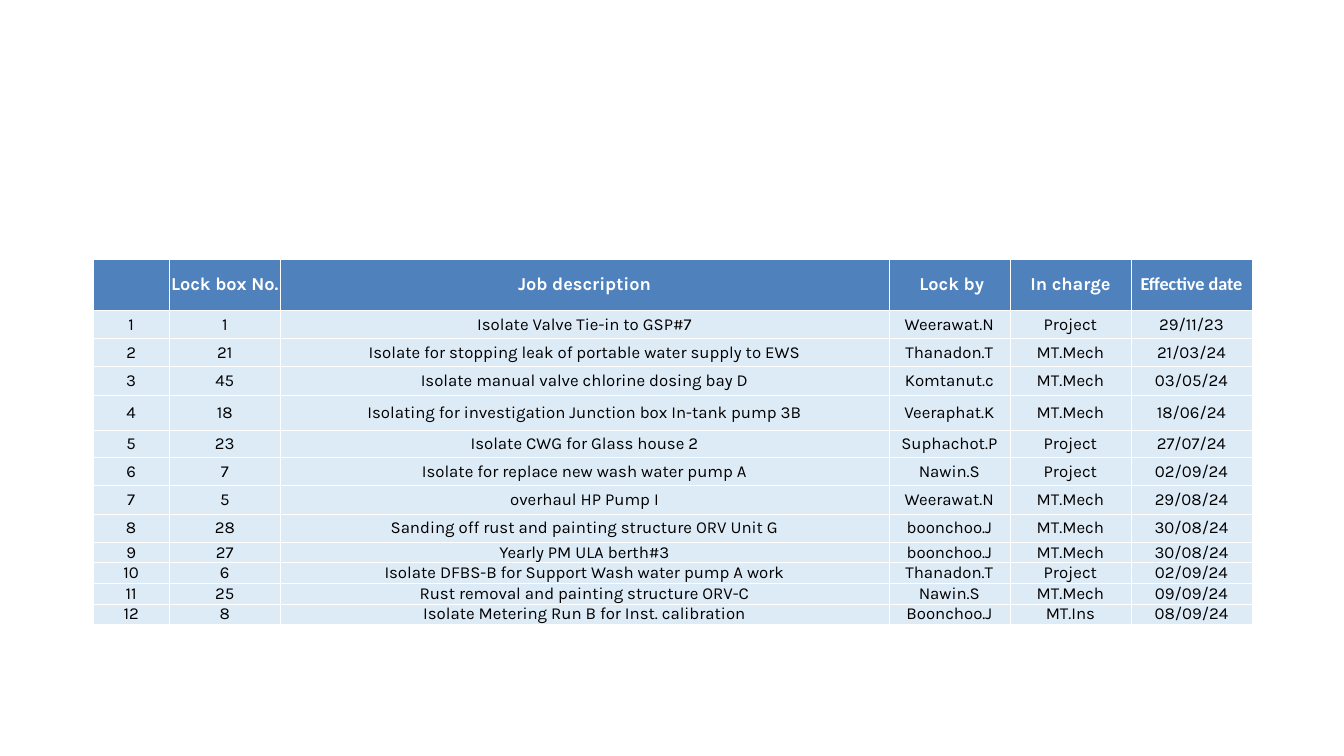
from dataclasses import dataclass

from lxml import etree
from pptx import Presentation
from pptx.dml.color import RGBColor
from pptx.enum.text import MSO_ANCHOR, PP_ALIGN
from pptx.oxml.ns import qn
from pptx.table import Table, _Cell
from pptx.util import Cm, Pt

CENTER = PP_ALIGN.CENTER
MIDDLE = MSO_ANCHOR.MIDDLE
BLANK_LAYOUT = 6


@dataclass(frozen=True)
class Theme:
    header_fill: str = "4F81BD"
    body_fill: str = "DDEBF7"
    header_text: str = "FFFFFF"
    body_text: str = "000000"
    border: str = "FFFFFF"
    border_width: float = 0.5
    header_size: float = 13
    body_size: float = 12
    font: str = "Karla"
    date_header_font: str = "Calibri"


@dataclass(frozen=True)
class Column:
    heading: str
    width: float
    heading_font: str


@dataclass(frozen=True)
class Job:
    lock_box: str
    description: str
    lock_by: str
    in_charge: str
    effective_date: str
    height: float = 0.71


THEME = Theme()
HEADER_HEIGHT = 1.29
SHORT_ROW = 0.52

COLUMNS = [
    Column("", 1.93, THEME.font),
    Column("Lock box No.", 2.79, THEME.font),
    Column("Job description", 15.34, THEME.font),
    Column(" Lock by", 3.05, THEME.font),
    Column("In charge", 3.05, THEME.font),
    Column("Effective date", 3.05, THEME.date_header_font),
]

JOBS = [
    Job("1", "Isolate Valve Tie-in to GSP#7", "Weerawat.N", "Project", "29/11/23"),
    Job("21", "Isolate for stopping leak of portable water supply to EWS",
        "Thanadon.T", "MT.Mech", "21/03/24"),
    Job("45", "Isolate manual valve chlorine dosing bay D", "Komtanut.c", "MT.Mech", "03/05/24"),
    Job("18", "Isolating for investigation Junction box In-tank pump 3B",
        "Veeraphat.K", "MT.Mech", "18/06/24", 0.89),
    Job("23", "Isolate CWG for Glass house 2", "Suphachot.P", "Project", "27/07/24", 0.69),
    Job("7", "Isolate for replace new wash water pump A", "Nawin.S", "Project", "02/09/24"),
    Job("5", "overhaul HP Pump I", "Weerawat.N", "MT.Mech", "29/08/24"),
    Job("28", "Sanding off rust and painting structure ORV Unit G",
        "boonchoo.J", "MT.Mech", "30/08/24"),
    Job("27", "Yearly PM ULA berth#3", "boonchoo.J", "MT.Mech", "30/08/24", SHORT_ROW),
    Job("6", "Isolate DFBS-B for Support Wash water pump A work",
        "Thanadon.T", "Project", "02/09/24", SHORT_ROW),
    Job("25", "Rust removal and painting structure ORV-C",
        "Nawin.S", "MT.Mech", "09/09/24", SHORT_ROW),
    Job("8", "Isolate Metering Run B for Inst. calibration",
        "Boonchoo.J", "MT.Ins", "08/09/24", SHORT_ROW),
]


def set_borders(cell: _Cell) -> None:
    """Outline all four sides; borders must precede the fill in the cell properties."""
    properties = cell._tc.get_or_add_tcPr()
    for position, side in enumerate(("a:lnL", "a:lnR", "a:lnT", "a:lnB")):
        line = etree.Element(qn(side), w=str(Pt(THEME.border_width)))
        fill = etree.SubElement(line, qn("a:solidFill"))
        etree.SubElement(fill, qn("a:srgbClr"), val=THEME.border)
        properties.insert(position, line)


def write_text(cell: _Cell, text: str, *, size: float, color: str,
               font: str = THEME.font, bold: bool = False) -> None:
    cell.text = text
    cell.vertical_anchor = MIDDLE
    cell.margin_left = cell.margin_right = cell.margin_top = cell.margin_bottom = 0
    paragraph = cell.text_frame.paragraphs[0]
    paragraph.alignment = CENTER
    # An empty cell takes its format from the paragraph
    for target in (paragraph, *paragraph.runs):
        target.font.name = font
        target.font.size = Pt(size)
        target.font.bold = bold
        target.font.color.rgb = RGBColor.from_string(color)


def paint_cell(cell: _Cell, color: str) -> None:
    cell.fill.solid()
    cell.fill.fore_color.rgb = RGBColor.from_string(color)
    set_borders(cell)


def fill_header(table: Table) -> None:
    table.rows[0].height = Cm(HEADER_HEIGHT)
    for index, column in enumerate(COLUMNS):
        table.columns[index].width = Cm(column.width)
        cell = table.cell(0, index)
        write_text(cell, column.heading, size=THEME.header_size, color=THEME.header_text,
                   font=column.heading_font, bold=True)
        paint_cell(cell, THEME.header_fill)


def fill_job(table: Table, number: int, job: Job) -> None:
    table.rows[number].height = Cm(job.height)
    values = (str(number), job.lock_box, job.description,
              job.lock_by, job.in_charge, job.effective_date)
    for index, value in enumerate(values):
        cell = table.cell(number, index)
        write_text(cell, value, size=THEME.body_size, color=THEME.body_text)
        paint_cell(cell, THEME.body_fill)


def main() -> None:
    presentation = Presentation()
    presentation.slide_width = Cm(33.87)
    presentation.slide_height = Cm(19.05)
    slide = presentation.slides.add_slide(presentation.slide_layouts[BLANK_LAYOUT])

    # Lock box register
    width = sum(column.width for column in COLUMNS)
    height = HEADER_HEIGHT + sum(job.height for job in JOBS)
    shape = slide.shapes.add_table(len(JOBS) + 1, len(COLUMNS),
                                   Cm(2.34), Cm(6.53), Cm(width), Cm(height))
    fill_header(shape.table)
    for number, job in enumerate(JOBS, start=1):
        fill_job(shape.table, number, job)

    presentation.save("out.pptx")


if __name__ == "__main__":
    main()
